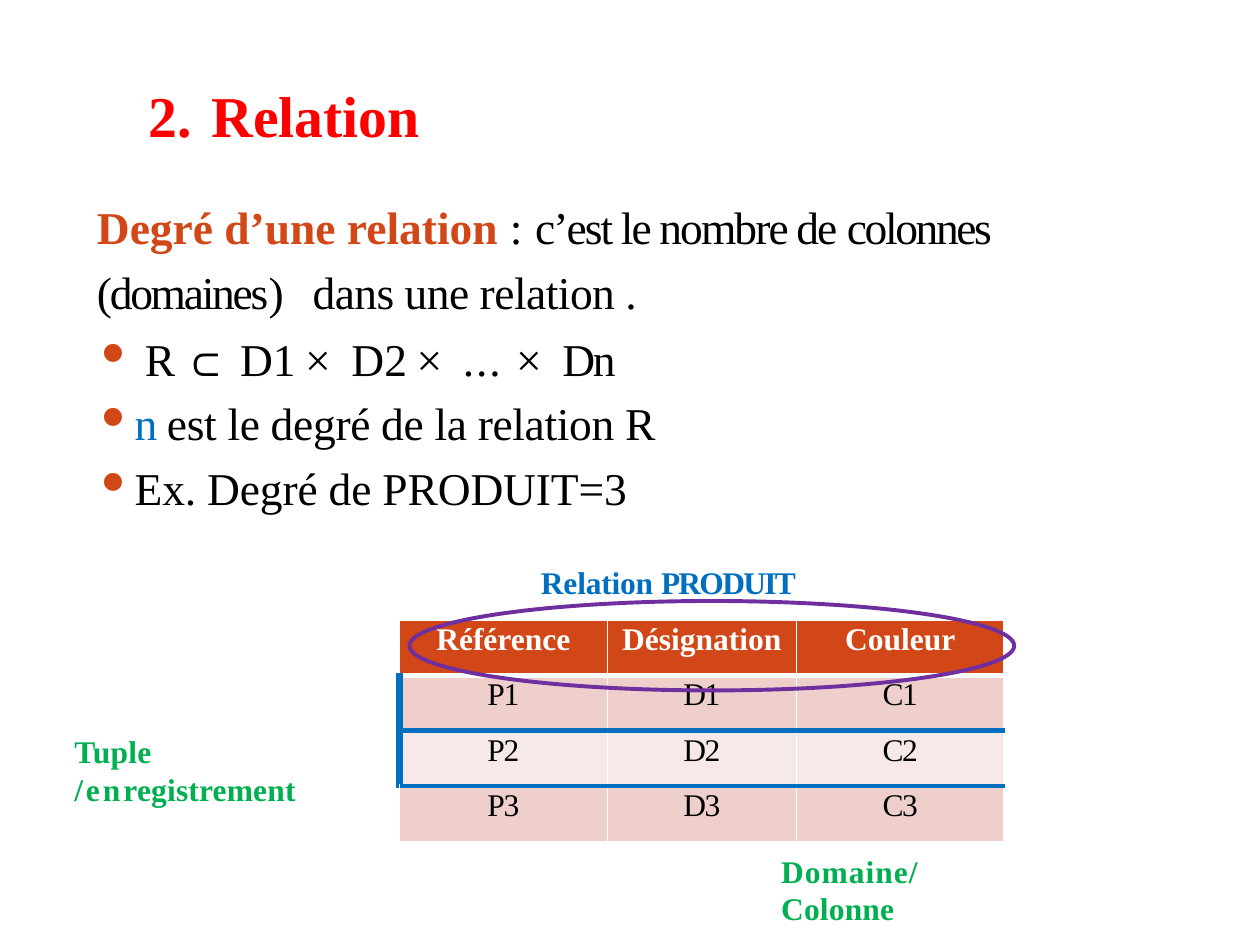
from lxml.etree import SubElement
from pptx import Presentation
from pptx.dml.color import RGBColor
from pptx.enum.shapes import MSO_SHAPE as Shape
from pptx.enum.text import MSO_ANCHOR as Anchor, PP_ALIGN as Align
from pptx.oxml.ns import qn
from pptx.util import Inches, Pt

THEME = dict(
    font="Times New Roman", title=33, body=26, small=18,
    red="FF0000", orange="D24717", black="000000", blue="006FC0",
    green="00AF50", purple="6F2F9F", white="FFFFFF", dark_row="EECFCC", light_row="F7E9E7",
)

TITLE = "2.\tRelation"
DEGREE = [
    ("Degré d’une relation ", dict(color="orange", bold=True)),
    (": ", dict(spacing=0.3)),
    ("c’est le nombre de ", dict(spacing=-1.1)),
    ("colonnes ", dict(spacing=-1.4)),
    ("(domaines", dict(spacing=-1.3)),
    (") ", dict(spacing=5)),
    ("dans une relation .", dict(spacing=-0.3)),
]
PRODUCT = [
    ("R ", dict(spacing=-1.9)), ("⊂ ", dict(spacing=-0.1)),
    ("D", dict(spacing=-1.6)), ("1 ", dict(spacing=-1.1)), ("× ", dict(spacing=2.6)),
    ("D", dict(spacing=-1.6)), ("2 ", dict(spacing=-1.1)), ("× ", dict(spacing=2.6)),
    ("... ", dict(spacing=1.1)), ("× ", dict(spacing=2.6)), ("Dn", dict(spacing=-1.4)),
]
BULLETS = [
    (PRODUCT, 0.39, -0.38, 6.8),
    ([("n ", dict(color="blue", spacing=-1.1)),
      ("est le degré de la relation R", dict(spacing=-0.2))], 0.31, -0.3, 5.3),
    ([("Ex. Degré de PRODUIT=3", dict(spacing=-0.1))], 0.31, -0.3, 6),
]
CAPTION = [("Relation ", dict(spacing=-0.1)), ("PRODUIT", dict(spacing=-1))]
LABELS = [
    (0.58, 5.8, 2.42, [("Tuple ", dict(spacing=0.2)), ("/en", dict(spacing=1.7)),
                       ("registrement", dict(spacing=0.1))]),
    (6.19, 6.75, 1.9, [("Domaine/", dict(spacing=0.6)), ("Colonne", dict(spacing=0.1))]),
]
ROWS = [
    ("Référence", "Désignation", "Couleur"),
    ("P1", "D1", "C1"),
    ("P2", "D2", "C2"),
    ("P3", "D3", "C3"),
]
COLUMN_WIDTHS = (1.65, 1.5, 1.65)
ROW_HEIGHT = 0.44
ROW_FILLS = ("orange", "dark_row", "light_row", "dark_row")
ROW_EDGES = (("white", 1), ("white", 3), ("blue", 3), ("blue", 3), ("white", 1))


def color_of(name):
    return RGBColor.from_string(THEME[name])


def add_span(para, text, size="body", color="black", bold=False, spacing=0):
    span = para.add_run()
    span.text = text
    font = span.font
    font.name, font.size, font.bold = THEME["font"], Pt(THEME[size]), bold
    font.color.rgb = color_of(color)
    if spacing:
        span._r.get_or_add_rPr().set("spc", str(round(spacing * 100)))


def add_spans(para, spans, **base):
    for text, style in spans:
        add_span(para, text, **{**base, **style})


def add_box(page, left, top, width, height, inset=0.01):
    frame = page.shapes.add_textbox(*map(Inches, (left, top, width, height))).text_frame
    frame.word_wrap = True
    frame.margin_left = frame.margin_right = frame.margin_bottom = 0
    frame.margin_top = Inches(inset)
    return frame


def format_para(para, margin=0.01, indent=0, before=0, bullet=False, tab=None):
    props = para._p.get_or_add_pPr()
    props.set("marL", str(Inches(margin)))
    props.set("indent", str(Inches(indent)))
    if bullet:
        SubElement(SubElement(props, qn("a:buClr")), qn("a:srgbClr"), val=THEME["orange"])
        SubElement(props, qn("a:buSzPct"), val="85000")
        SubElement(props, qn("a:buChar"), char="⚫")
    if tab:
        SubElement(SubElement(props, qn("a:tabLst")), qn("a:tab"), pos=str(Inches(tab)), algn="l")
    para.space_before = Pt(before)


def set_border(cell, side, color, width):
    props = cell._tc.get_or_add_tcPr()
    line = SubElement(props, qn(f"a:ln{side}"), w=str(Pt(width)))
    SubElement(SubElement(line, qn("a:solidFill")), qn("a:srgbClr"), val=THEME[color])


def add_product_table(page):
    frame = page.shapes.add_table(len(ROWS), len(COLUMN_WIDTHS), Inches(3.17), Inches(4.92),
                                  Inches(sum(COLUMN_WIDTHS)), Inches(ROW_HEIGHT * len(ROWS)))
    table = frame.table
    for column, width in zip(table.columns, COLUMN_WIDTHS):
        column.width = Inches(width)
    for r, texts in enumerate(ROWS):
        table.rows[r].height = Inches(ROW_HEIGHT)
        header = r == 0
        for c, text in enumerate(texts):
            cell = table.cell(r, c)
            marked = c == 0 and r in (1, 2)
            set_border(cell, "L", *(("blue", 4.25) if marked else ("white", 1)))
            set_border(cell, "R", "white", 1)
            set_border(cell, "T", *ROW_EDGES[r])
            set_border(cell, "B", *ROW_EDGES[r + 1])
            cell.fill.solid()
            cell.fill.fore_color.rgb = color_of(ROW_FILLS[r])
            cell.margin_left = cell.margin_right = cell.margin_bottom = 0
            cell.margin_top = Inches(0.02)
            para = cell.text_frame.paragraphs[0]
            para.alignment = Align.CENTER
            add_span(para, text, size="small", color="white" if header else "black",
                     bold=header, spacing=0 if header else -0.8)


def main():
    deck = Presentation()
    deck.slide_width, deck.slide_height = Inches(10), Inches(7.5)
    page = deck.slides.add_slide(deck.slide_layouts[6])

    title = add_box(page, 1.17, 0.61, 7.33, 0.57, inset=0.02)
    title.vertical_anchor = Anchor.MIDDLE
    format_para(title.paragraphs[0], tab=0.58)
    add_span(title.paragraphs[0], TITLE, size="title", color="red", bold=True)

    add_product_table(page)

    ring = page.shapes.add_shape(Shape.OVAL, *map(Inches, (3.25, 4.77, 4.8, 0.71)))
    ring.shadow.inherit = False
    ring.fill.background()
    ring.line.color.rgb = color_of("purple")
    ring.line.width = Pt(2.25)

    for left, top, width, spans in LABELS:
        para = add_box(page, left, top, width, 0.33).paragraphs[0]
        format_para(para)
        add_spans(para, spans, size="small", color="green", bold=True)

    body = add_box(page, 0.76, 1.49, 8.64, 3.3)
    para = body.paragraphs[0]
    format_para(para)
    para.line_spacing = 1.19
    add_spans(para, DEGREE)
    for spans, margin, indent, before in BULLETS:
        para = body.add_paragraph()
        format_para(para, margin, indent, before, bullet=True, tab=margin)
        add_spans(para, spans)
    para = body.add_paragraph()
    format_para(para, margin=0.45, before=28)
    para.alignment = Align.CENTER
    add_spans(para, CAPTION, size="small", color="blue", bold=True)

    deck.save("out.pptx")


if __name__ == "__main__":
    main()
